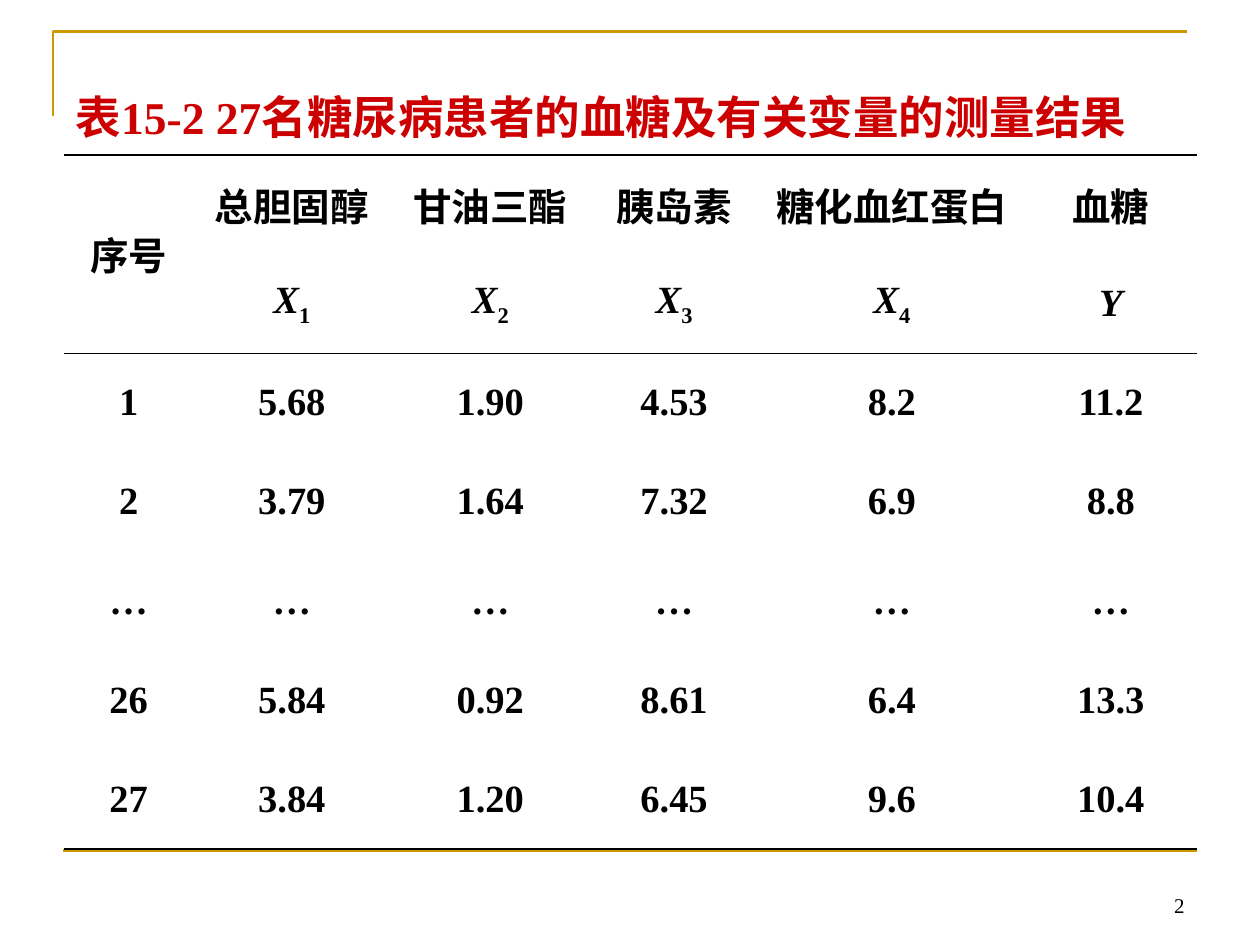
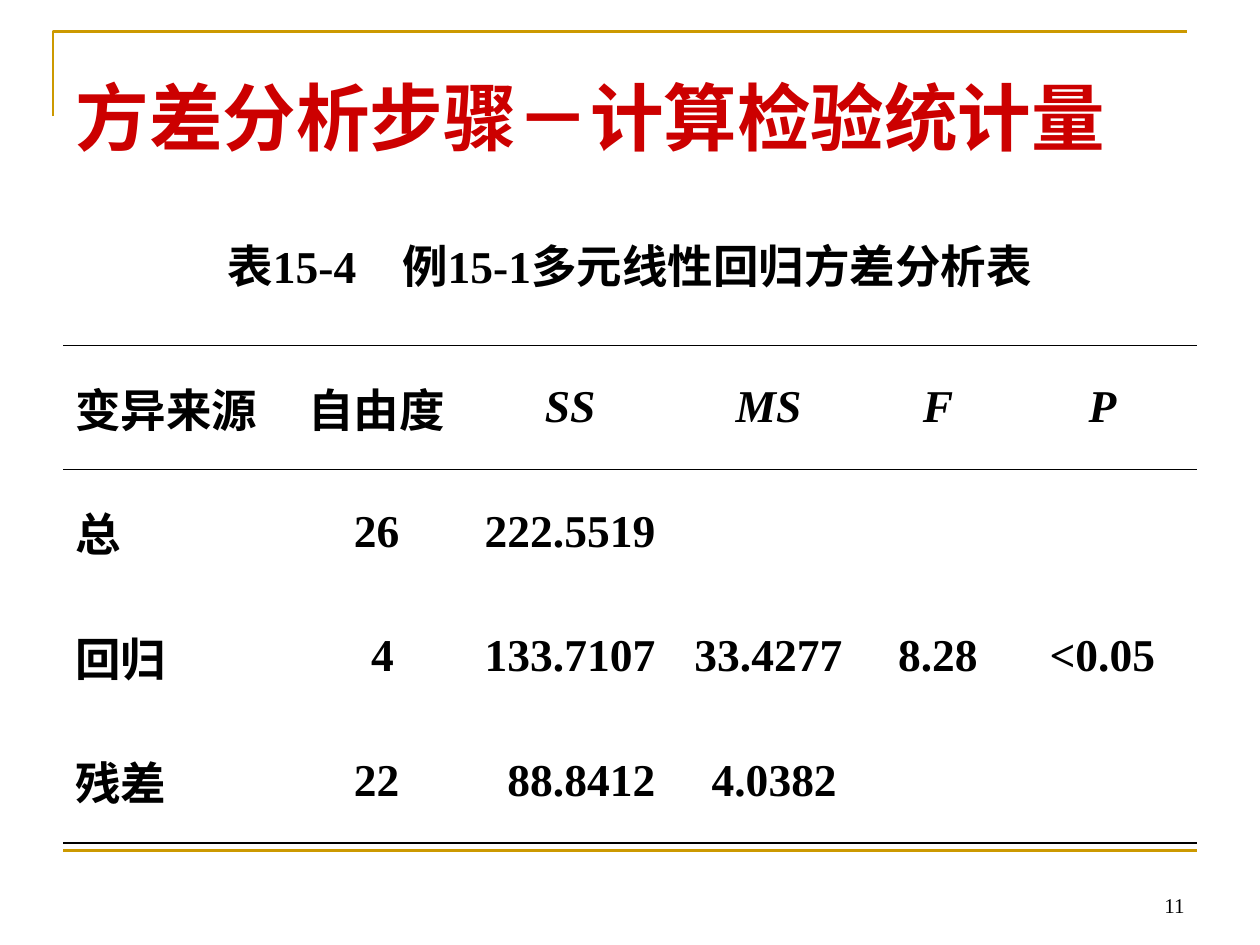
from lxml.etree import SubElement
from pptx import Presentation
from pptx.dml.color import RGBColor
from pptx.enum.lang import MSO_LANGUAGE_ID as Language
from pptx.enum.shapes import MSO_CONNECTOR as Connector
from pptx.enum.text import MSO_ANCHOR as Anchor, MSO_AUTO_SIZE as AutoSize, PP_ALIGN as Align
from pptx.oxml.ns import qn
from pptx.util import Cm, Pt

COLORS = {"gold": "CC9900", "title": "CC0000", "text": "000000"}
FONT = "Times New Roman"
THICK, THIN = 1.08, 0.45

SLIDES = [
    {
        "title": "表15-2 27名糖尿病患者的血糖及有关变量的测量结果",
        "title_size": 26,
        "number": "2",
        "left": 1.3,
        "top": 3.12,
        "columns": [2.59, 3.99, 4.01, 3.4, 5.38, 3.45],
        "rows": [2] * 7,
        "size": 22,
        "before": 5.5,
        "merge": ((0, 0), (1, 0)),
        "rules": {0: THICK, 2: THIN, 7: THICK},
        "left_aligned": [],
        "italic_row": 1,
        "indents": {},
        "cells": [
            ["序号", "总胆固醇", "甘油三酯", "胰岛素", "糖化血红蛋白", "血糖"],
            ["", ("X", "1"), ("X", "2"), ("X", "3"), ("X", "4"), "Y"],
            ["1", "5.68", "1.90", "4.53", "8.2", "11.2"],
            ["2", "3.79", "1.64", "7.32", "6.9", "8.8"],
            ["…"] * 6,
            ["26", "5.84", "0.92", "8.61", "6.4", "13.3"],
            ["27", "3.84", "1.20", "6.45", "9.6", "10.4"],
        ],
    },
    {
        "title": "方差分析步骤－计算检验统计量",
        "title_size": 42,
        "number": "11",
        "left": 1.27,
        "top": 4.52,
        "columns": [4.42, 3.81, 3.99, 4.01, 2.82, 3.81],
        "rows": [2.44] + [2.51] * 4,
        "size": 26,
        "before": 6.5,
        "merge": ((0, 0), (0, 5)),
        "rules": {1: THIN, 2: THIN, 5: THICK},
        "left_aligned": [(1, 0), (2, 0), (3, 0), (4, 0)],
        "italic_row": 1,
        "indents": {(3, 1): 0.23, (4, 2): 0.46, (4, 3): 0.23},
        "cells": [
            ["表15-4　例15-1多元线性回归方差分析表"] + [""] * 5,
            ["变异来源", "自由度", "SS", "MS", "F", "P"],
            ["总", "26", "222.5519", "", "", ""],
            ["回归", "4", "133.7107", "33.4277", "8.28", "<0.05"],
            ["残差", "22", "88.8412", "4.0382", "", ""],
        ],
    },
]


def color(name):
    return RGBColor.from_string(COLORS[name])


def style(span, size, name="text", bold=True, italic=False):
    font = span.font
    font.name, font.size, font.bold, font.italic = FONT, Pt(size), bold, italic
    font.color.rgb = color(name)
    font.language_id = Language.SIMPLIFIED_CHINESE


def add_frame(page, layout):
    builder = page.shapes.build_freeform(Cm(1.07), Cm(2.34))
    builder.add_line_segments([(Cm(1.07), Cm(0.64)), (Cm(23.93), Cm(0.64))], close=False)
    corner = builder.convert_to_shape()
    corner.fill.background()
    corner.shadow.inherit = False
    footer_line = page.shapes.add_connector(
        Connector.STRAIGHT, Cm(1.27), Cm(17.15), Cm(24.13), Cm(17.15))
    SubElement(footer_line.element.spPr, qn("a:effectLst"))
    for position, shape in enumerate((corner, footer_line), 2):
        shape.line.color.rgb = color("gold")
        shape.line.width = Pt(1.5)
        layout.shapes.element.insert(position, shape.element)
    # keep

def add_title(page, text, size):
    title = page.shapes.title
    title.left, title.top, title.width, title.height = Cm(1.27), Cm(0.76), Cm(22.86), Cm(3.18)
    frame = title.text_frame
    frame.text = text
    frame.auto_size = AutoSize.NONE
    frame.vertical_anchor = Anchor.MIDDLE
    para = frame.paragraphs[0]
    para.alignment = Align.LEFT
    style(para.runs[0], size, "title")


def add_number(page, text):
    box = page.shapes.add_textbox(Cm(18.21), Cm(17.35), Cm(5.92), Cm(1.27))
    frame = box.text_frame
    frame.word_wrap = True
    frame.vertical_anchor = Anchor.BOTTOM
    frame.text = text
    para = frame.paragraphs[0]
    para.alignment = Align.RIGHT
    style(para.runs[0], 12, bold=False)


def set_borders(cell, top, bottom):
    properties = cell._tc.get_or_add_tcPr()
    for side, width in (("L", None), ("R", None), ("T", top), ("B", bottom)):
        line = SubElement(properties, qn(f"a:ln{side}"))
        if width:
            line.set("w", str(Pt(width)))
            fill = SubElement(line, qn("a:solidFill"))
            SubElement(fill, qn("a:srgbClr")).set("val", COLORS["text"])
        else:
            SubElement(line, qn("a:noFill"))


def fill_cell(cell, content, size, before, italic, alignment):
    para = cell.text_frame.paragraphs[0]
    para.alignment = alignment
    para.space_before = Pt(before)
    parts = content if isinstance(content, tuple) else (content,)
    for index, part in enumerate(parts):
        span = para.add_run()
        span.text = part
        style(span, size, italic=italic and index == 0)
        if index:
            span._r.get_or_add_rPr().set("baseline", "-25000")


def add_data_table(page, data):
    rows, columns, rules = data["rows"], data["columns"], data["rules"]
    table = page.shapes.add_table(
        len(rows), len(columns), Cm(data["left"]), Cm(data["top"]),
        Cm(sum(columns)), Cm(sum(rows))).table
    table.first_row = table.horz_banding = False
    for column, width in zip(table.columns, columns):
        column.width = Cm(width)
    for row, height in zip(table.rows, rows):
        row.height = Cm(height)
    first, last = data["merge"]
    table.cell(*first).merge(table.cell(*last))
    for r, contents in enumerate(data["cells"]):
        for c, content in enumerate(contents):
            cell = table.cell(r, c)
            bottom = r + (cell.span_height if cell.is_merge_origin else 1)
            set_borders(cell, rules.get(r), rules.get(bottom))
            cell.fill.background()
            caption = cell.is_merge_origin and cell.span_width > 1
            cell.vertical_anchor = Anchor.TOP if caption else Anchor.MIDDLE
            cell.margin_left = Cm(0.25 + data["indents"].get((r, c), 0))
            if content:
                text = content if isinstance(content, str) else content[0]
                italic = r == data["italic_row"] and text.isascii()
                alignment = Align.LEFT if (r, c) in data["left_aligned"] else Align.CENTER
                fill_cell(cell, content, data["size"], data["before"], italic, alignment)


def main():
    deck = Presentation()
    deck.slide_width, deck.slide_height = Cm(25.4), Cm(19.05)
    layout = deck.slide_layouts[5]
    for index, data in enumerate(SLIDES):
        page = deck.slides.add_slide(layout)
        if index == 0:
            add_frame(page, layout)
        add_title(page, data["title"], data["title_size"])
        add_data_table(page, data)
        add_number(page, data["number"])
    deck.save("out.pptx")


if __name__ == "__main__":
    main()
